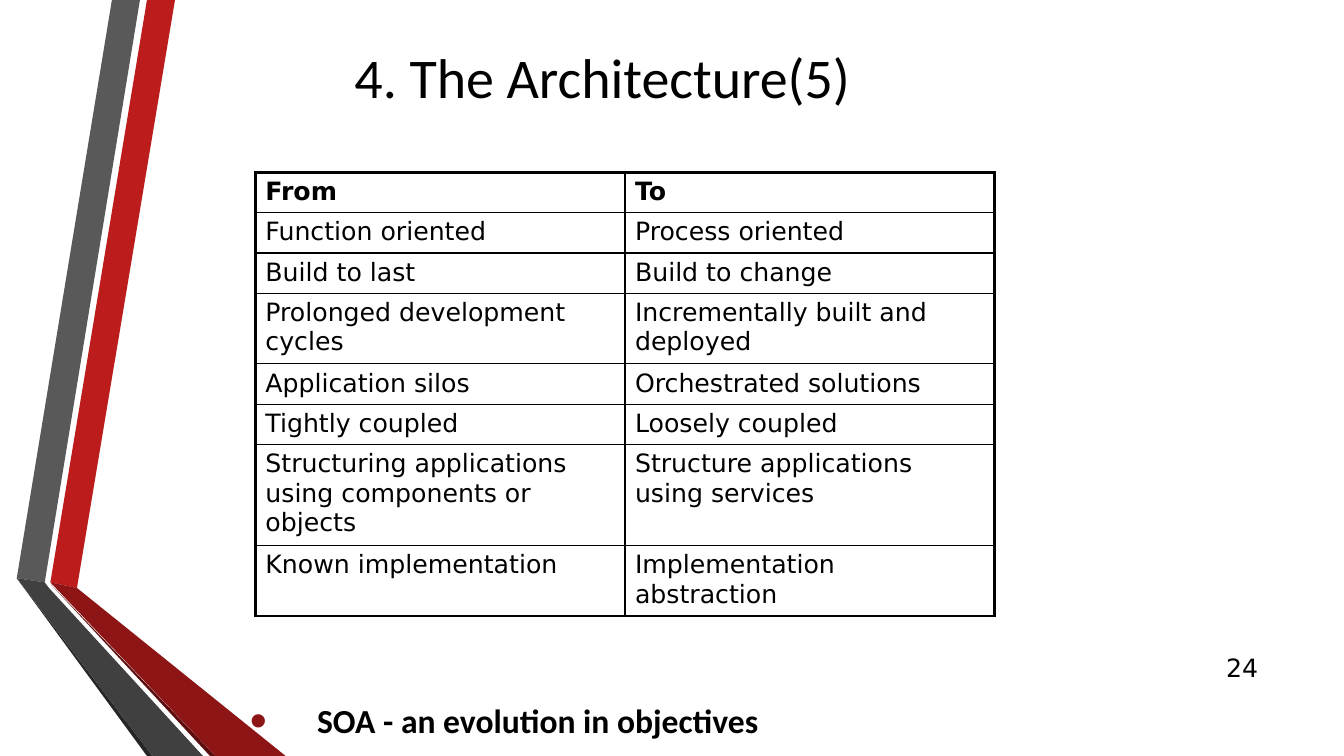
from lxml.etree import SubElement
from pptx import Presentation
from pptx.dml.color import RGBColor
from pptx.enum.text import MSO_ANCHOR, PP_ALIGN
from pptx.oxml.ns import qn
from pptx.util import Pt

WIDE, HIGH = 960, 540
INK, WHITE, RED = "000000", "FFFFFF", "8D1515"
HEAD, BODY = "Calibri", "DejaVu Sans"

TITLE = "4. The Architecture(5) "
POINT = "SOA - an evolution in objectives"
NUMBER = "24"

ROWS = [
    ("From", "To"),
    ("Function oriented", "Process oriented"),
    ("Build to last", "Build to change"),
    ("Prolonged development cycles", "Incrementally built and deployed"),
    ("Application silos", "Orchestrated solutions"),
    ("Tightly coupled", "Loosely coupled"),
    ("Structuring applications using components or objects",
     "Structure applications using services"),
    ("Known implementation", "Implementation abstraction"),
]
LINES = [1, 1, 1, 2, 1, 1, 3, 2]
TALL = {1: 28.8, 2: 50.4, 3: 72}
LEFT, TOP, COL = 182.4, 123, 264
THIN, THICK = 1, 2.25

# Ribbon faces from back to front: colour, corners
RIBBON = [
    ("BC1C1C", [(36, 416.2), (55.4, 420), (124.6, 0), (104.6, 0)]),
    ("595959", [(100, 0), (80, 0), (11.6, 412.6), (31.6, 415.6)]),
    ("262626", [(11.6, 412.6), (104.6, 540), (108.8, 540)]),
    ("5E0E0E", [(36, 416.8), (149.8, 540), (154, 540)]),
    (RED, [(36, 416.2), (154, 540), (203.8, 540), (55.4, 420)]),
    ("404040", [(145.4, 540), (34.6, 420), (31.6, 415.6), (11.6, 412.6),
                (108.8, 540)]),
]


def rgb(code):
    return RGBColor.from_string(code)


def style(para, face, size, bold=False):
    font = para.font
    font.name, font.size, font.bold = face, Pt(size), bold
    font.color.rgb = rgb(INK)


def add_text(slide, box, text, anchor=MSO_ANCHOR.MIDDLE):
    """Add a wrapped text box and return its frame and paragraph."""
    frame = slide.shapes.add_textbox(*map(Pt, box)).text_frame
    frame.word_wrap = True
    frame.vertical_anchor = anchor
    frame.text = text
    return frame, frame.paragraphs[0]


def add_bullet(para, indent):
    props = para._p.get_or_add_pPr()
    props.set("marL", str(Pt(indent)))
    props.set("indent", str(-Pt(indent)))
    tint = SubElement(props, qn("a:buClr"))
    SubElement(tint, qn("a:srgbClr"), val=RED)
    SubElement(props, qn("a:buSzPct"), val="145000")
    SubElement(props, qn("a:buFont"), typeface="Arial")
    SubElement(props, qn("a:buChar"), char="•")


def add_edges(cell, widths):
    """Draw borders in the order left, right, top, bottom."""
    props = cell._tc.get_or_add_tcPr()
    for spot, (side, width) in enumerate(zip("LRTB", widths)):
        line = props.makeelement(qn(f"a:ln{side}"), {"w": str(Pt(width))})
        fill = SubElement(line, qn("a:solidFill"))
        SubElement(fill, qn("a:srgbClr"), val=INK)
        props.insert(spot, line)


def add_ribbon(slide):
    for code, (start, *rest) in RIBBON:
        path = slide.shapes.build_freeform(*start, scale=Pt(1))
        path.add_line_segments(rest, close=True)
        face = path.convert_to_shape()
        face.shadow.inherit = False
        face.fill.solid()
        face.fill.fore_color.rgb = rgb(code)
        face.line.fill.background()


def add_grid(slide):
    tall = [TALL[count] for count in LINES]
    box = (LEFT, TOP, 2 * COL, sum(tall))
    table = slide.shapes.add_table(len(ROWS), 2, *map(Pt, box)).table
    table.horz_banding = False
    last = len(ROWS) - 1
    for r, texts in enumerate(ROWS):
        table.rows[r].height = Pt(tall[r])
        for c, text in enumerate(texts):
            cell = table.cell(r, c)
            cell.text = text
            cell.fill.solid()
            cell.fill.fore_color.rgb = rgb(WHITE)
            style(cell.text_frame.paragraphs[0], BODY, 18, r == 0)
            outer = (c == 0, c == 1, r == 0, r == last)
            add_edges(cell, [THICK if edge else THIN for edge in outer])


def main():
    deck = Presentation()
    deck.slide_width, deck.slide_height = Pt(WIDE), Pt(HIGH)
    slide = deck.slides.add_slide(deck.slide_layouts[6])
    add_ribbon(slide)

    _, title = add_text(slide, (40.3, -14.4, 789, 138), TITLE)
    title.alignment = PP_ALIGN.CENTER
    style(title, HEAD, 40)

    box = (171.4, 408, WIDE - 171.4, HIGH - 408)
    frame, point = add_text(slide, box, POINT, MSO_ANCHOR.BOTTOM)
    frame.margin_bottom = Pt(11)
    point.line_spacing = 0.9
    add_bullet(point, 48)
    style(point, HEAD, 24, True)

    _, number = add_text(slide, (862.6, 462.2, 43.2, 28.8), NUMBER)
    number.alignment = PP_ALIGN.RIGHT
    style(number, BODY, 18)

    add_grid(slide)
    deck.save("out.pptx")


if __name__ == "__main__":
    main()
